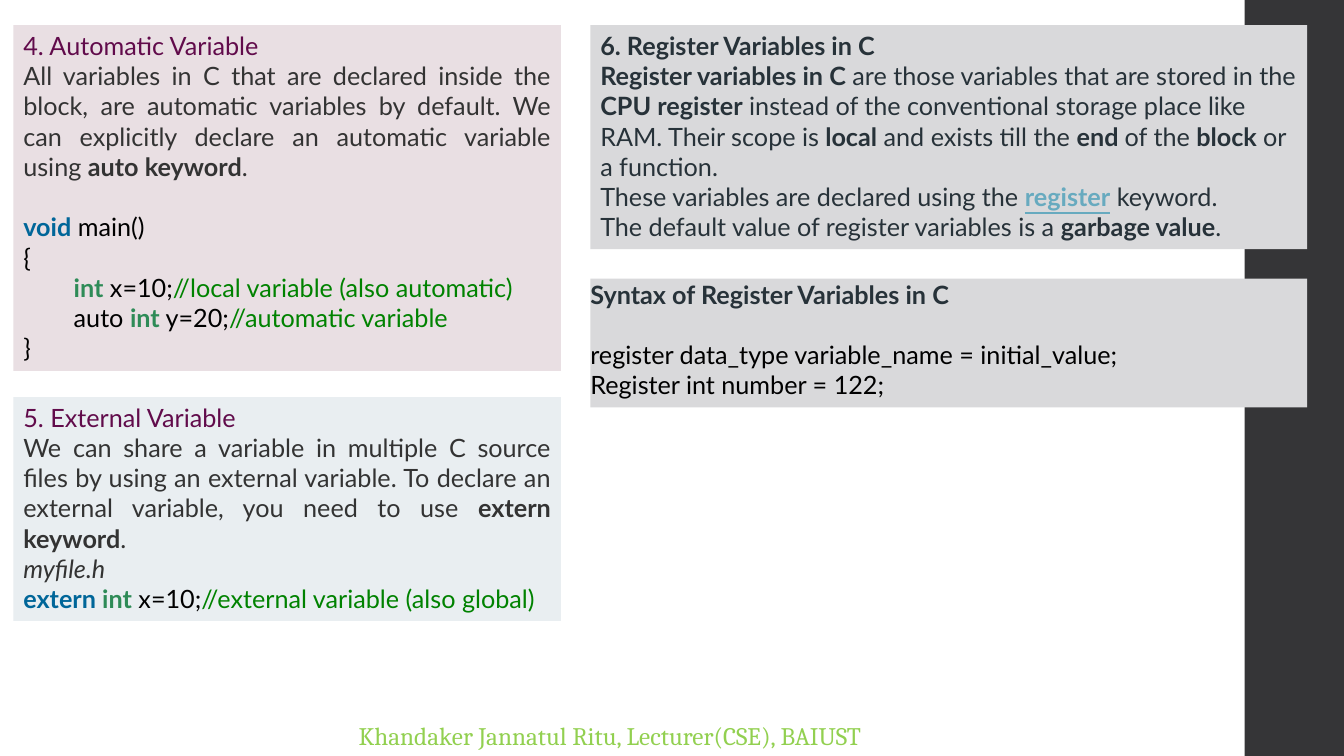
import pptx
import pptx.dml.color
import pptx.enum.shapes
import pptx.enum.text
import pptx.util

Pt = pptx.util.Pt
RGBColor = pptx.dml.color.RGBColor
ALIGN = pptx.enum.text.PP_ALIGN
ANCHOR = pptx.enum.text.MSO_ANCHOR

WHITE = RGBColor(0xFF, 0xFF, 0xFF)
BLACK = RGBColor(0x00, 0x00, 0x00)
BAR = RGBColor(0x35, 0x35, 0x37)
PINK = RGBColor(0xE9, 0xDF, 0xE3)
PALE_BLUE = RGBColor(0xE9, 0xEE, 0xF1)
GRAY = RGBColor(0xD9, 0xD9, 0xDB)
HEADING = RGBColor(0x61, 0x0B, 0x4B)
BODY = RGBColor(0x33, 0x33, 0x33)
SLATE = RGBColor(0x27, 0x32, 0x39)
LINK = RGBColor(0x67, 0xAA, 0xBF)
KEYWORD = RGBColor(0x00, 0x66, 0x99)
TYPE = RGBColor(0x2E, 0x8B, 0x57)
COMMENT = RGBColor(0x00, 0x82, 0x00)
FOOTER = RGBColor(0x92, 0xD0, 0x50)

TEXT_SIZE = 18
LINE = 21.6  # height of one line of text
INDENT = 36

# Paragraphs are (runs, options); runs are (text, colour, style letters b, i, u)
AUTOMATIC = [
    ([("4. Automatic Variable", HEADING, "")], ""),
    ([("All variables in C that are declared inside the block, are automatic "
       "variables by default. We can explicitly declare an automatic variable using ", BODY, ""),
      ("auto keyword", BODY, "b"), (".", BODY, "")], ""),
    ([("void", KEYWORD, "b"), (" main()", BLACK, "")], "gap"),
    ([("{", BLACK, "")], ""),
    ([("int", TYPE, "b"), (" x=10;", BLACK, ""),
      ("//local variable (also automatic)", COMMENT, "")], "indent"),
    ([("auto ", BLACK, ""), ("int", TYPE, "b"), (" y=20;", BLACK, ""),
      ("//automatic variable", COMMENT, "")], "indent"),
    ([("}", BLACK, "")], ""),
]
EXTERNAL = [
    ([("5. External Variable", HEADING, "")], ""),
    ([("We can share a variable in multiple C source files by using an external "
       "variable. To declare an external variable, you need to use ", BODY, ""),
      ("extern keyword", BODY, "b"), (".", BODY, "")], ""),
    ([("myfile.h", BODY, "i")], ""),
    ([("extern ", KEYWORD, "b"), ("int", TYPE, "b"), (" x=10;", BLACK, ""),
      ("//external variable (also global)", COMMENT, "")], ""),
]
REGISTER = [
    ([("6. Register Variables in C", SLATE, "b")], ""),
    ([("Register variables in C", SLATE, "b"),
      (" are those variables that are stored in the ", SLATE, ""),
      ("CPU register", SLATE, "b"),
      (" instead of the conventional storage place like RAM. Their scope is", SLATE, ""),
      (" local", SLATE, "b"), (" and exists till the ", SLATE, ""),
      ("end ", SLATE, "b"), ("of the ", SLATE, ""),
      ("block ", SLATE, "b"), ("or a function.", SLATE, "")], ""),
    ([("These variables are declared using the ", SLATE, ""),
      ("register", LINK, "bu"), (" keyword.", SLATE, "")], ""),
    ([("The default value of register variables is a ", SLATE, ""),
      ("garbage value", SLATE, "b"), (".", SLATE, "")], ""),
]
SYNTAX = [
    ([("Syntax of Register Variables in C", SLATE, "b")], ""),
    ([("register data_type variable_name = initial_value;", BLACK, "")], "gap"),
    ([("Register int number = 122;", BLACK, "")], ""),
]


def add_rectangle(slide, box, color):
    shape = slide.shapes.add_shape(
        pptx.enum.shapes.MSO_SHAPE.RECTANGLE, *[Pt(length) for length in box])
    shape.shadow.inherit = False
    shape.fill.solid()
    shape.fill.fore_color.rgb = color
    shape.line.fill.background()
    return shape


def write(text_frame, paragraphs, align, font_name="Lato"):
    text_frame.word_wrap = True
    for index, (runs, option) in enumerate(paragraphs):
        paragraph = text_frame.paragraphs[0] if index == 0 else text_frame.add_paragraph()
        paragraph.alignment = align
        if option == "gap":
            paragraph.space_before = Pt(LINE)
        elif option == "indent":
            properties = paragraph._p.get_or_add_pPr()
            properties.set("marL", str(Pt(INDENT)))
            properties.set("indent", "0")
        for text, color, style in runs:
            run = paragraph.add_run()
            run.text = text
            run.font.name = font_name
            run.font.size = Pt(TEXT_SIZE)
            run.font.color.rgb = color
            run.font.bold = "b" in style
            run.font.italic = "i" in style
            run.font.underline = "u" in style


def add_panel(slide, box, color, paragraphs, align):
    text_frame = add_rectangle(slide, box, color).text_frame
    text_frame.vertical_anchor = ANCHOR.TOP
    write(text_frame, paragraphs, align)
    return text_frame


def add_left_column(slide, left, top, width):
    add_panel(slide, (left, top, width, 247), PINK, AUTOMATIC, ALIGN.JUSTIFY)
    add_panel(slide, (left, top + 265.6, width, 160), PALE_BLUE, EXTERNAL, ALIGN.JUSTIFY)


def add_right_column(slide, left, top, width):
    add_panel(slide, (left, top, width, 160), GRAY, REGISTER, ALIGN.LEFT)
    syntax = add_panel(slide, (left, top + 181, width, 92), GRAY, SYNTAX, ALIGN.LEFT)
    syntax.vertical_anchor = ANCHOR.MIDDLE
    syntax.margin_left = syntax.margin_top = syntax.margin_right = 0
    syntax.margin_bottom = Pt(5)


def add_footer(slide, box):
    text_box = slide.shapes.add_textbox(*[Pt(length) for length in box])
    runs = [("Khandaker Jannatul Ritu, Lecturer(CSE), BAIUST", FOOTER, "")]
    write(text_box.text_frame, [(runs, "")], ALIGN.LEFT, "Cambria")


def main():
    presentation = pptx.Presentation()
    presentation.slide_width, presentation.slide_height = Pt(960), Pt(540)
    slide = presentation.slides.add_slide(presentation.slide_layouts[6])
    slide.background.fill.solid()
    slide.background.fill.fore_color.rgb = WHITE

    # Dark side bar and footer
    add_rectangle(slide, (889, 0, 71, 540), BAR)
    add_footer(slide, (249, 511, 533.5, 29))

    # Text panels
    add_left_column(slide, 9.6, 18, 391)
    add_right_column(slide, 421.7, 18, 512)
    presentation.save("out.pptx")


if __name__ == "__main__":
    main()
